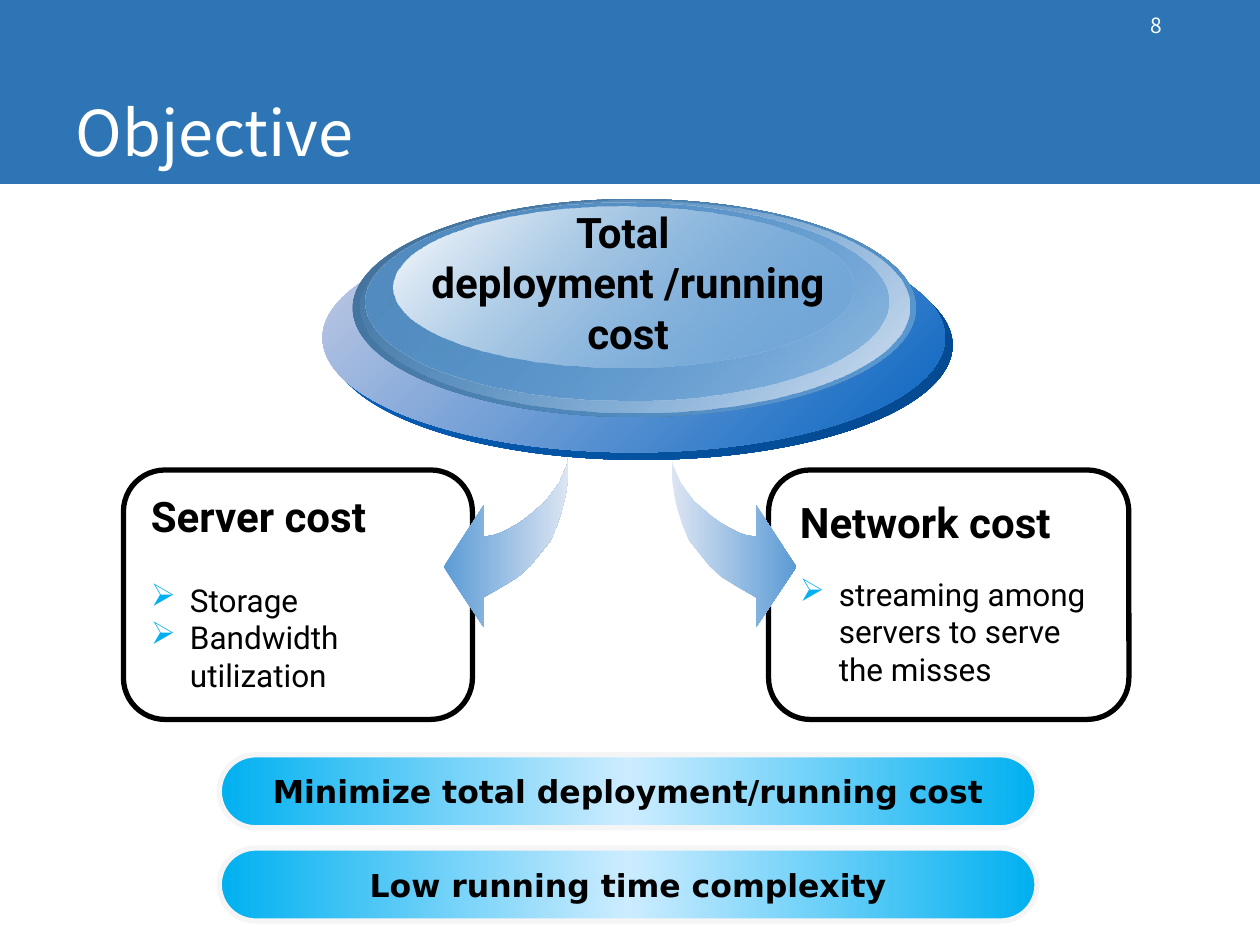
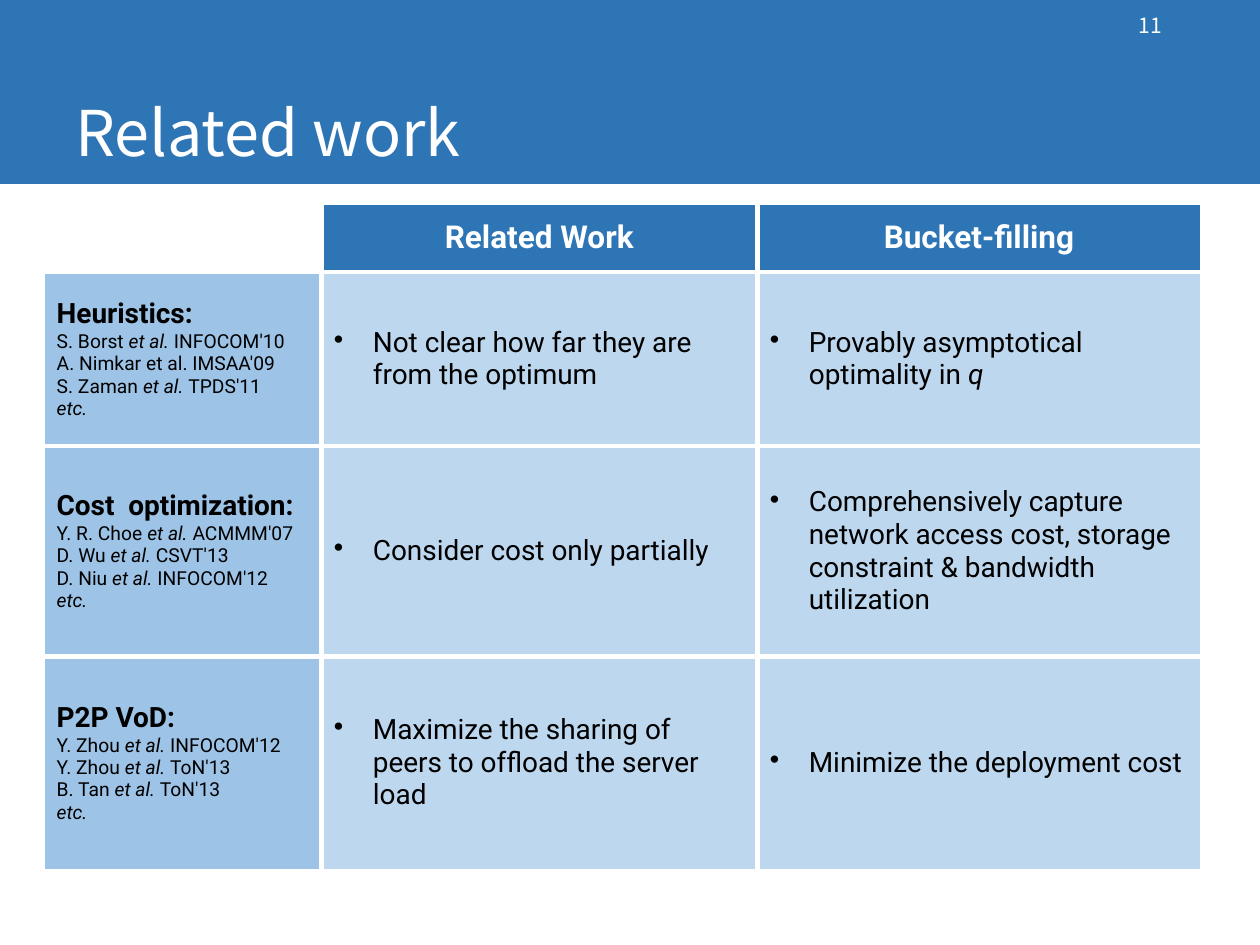
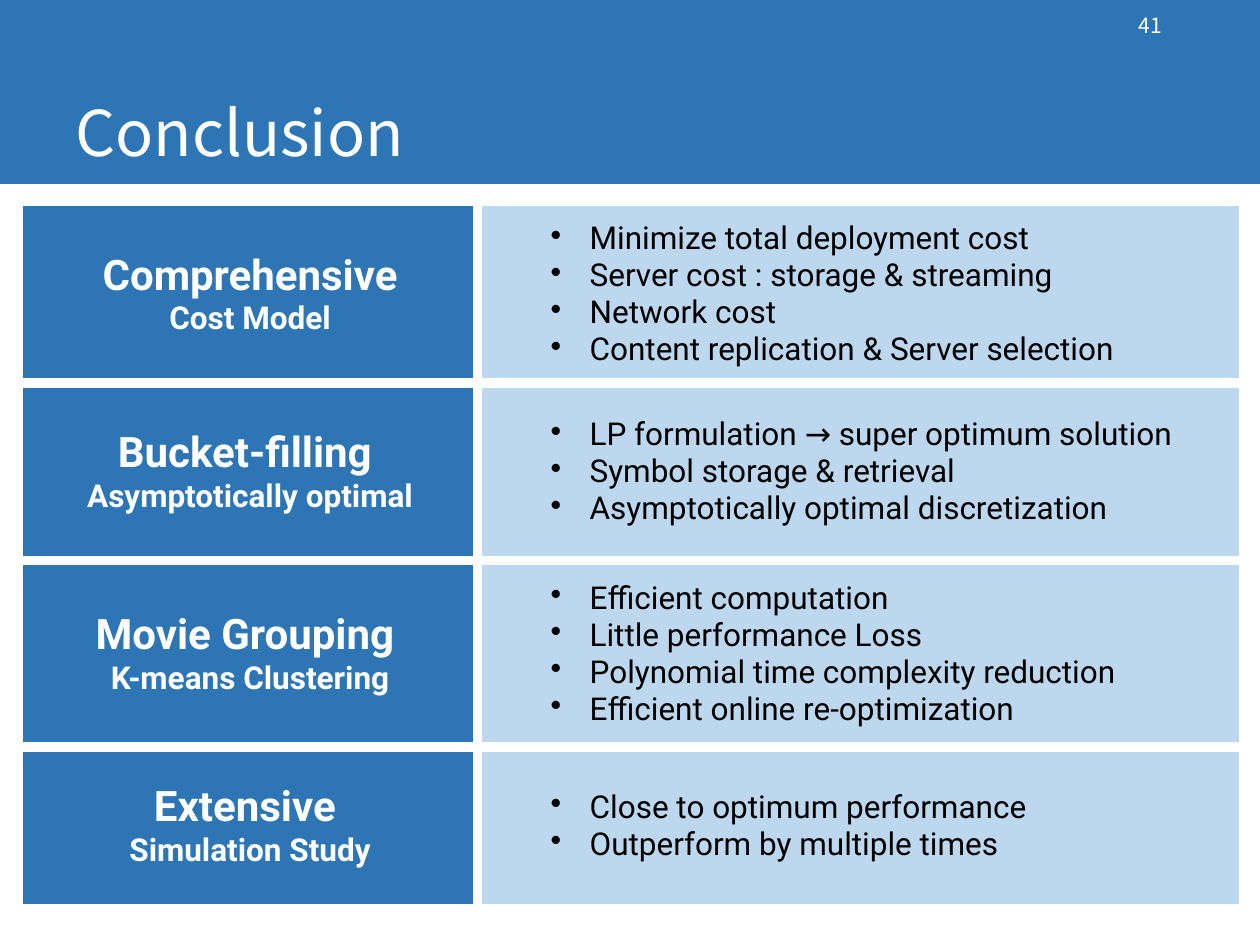
from pptx import Presentation
from pptx.dml.color import RGBColor
from pptx.enum.shapes import MSO_SHAPE as SHAPE
from pptx.enum.text import MSO_ANCHOR as ANCHOR, PP_ALIGN as ALIGN
from pptx.oxml import parse_xml
from pptx.oxml.ns import nsdecls, qn
from pptx.util import Inches, Pt

BLUE = RGBColor(0x2E, 0x75, 0xB6)
MID_BLUE = RGBColor(0x9D, 0xC3, 0xE6)
PALE_BLUE = RGBColor(0xBD, 0xD7, 0xEE)
PALE_GREY = RGBColor(0xF5, 0xF5, 0xF5)
WHITE = RGBColor(0xFF, 0xFF, 0xFF)
BLACK = RGBColor(0, 0, 0)
CYAN = RGBColor(0x00, 0xB0, 0xF0)
ICE = RGBColor(0xCC, 0xEC, 0xFF)
SKY = RGBColor(0x5B, 0x9B, 0xD5)
MIST = RGBColor(0xDC, 0xE5, 0xF3)
STRONG = RGBColor(0x05, 0x63, 0xC1)
TITLE_FONT, BODY_FONT, PILL_FONT = "Noto Sans CJK SC", "Roboto", "DejaVu Sans"


def add_par(tf, text, size, color=BLACK, bold=False, align=ALIGN.LEFT,
            font=BODY_FONT, bullet=None, bullet_color=BLACK, margin=0.31, before=0):
    """Append a paragraph; parts of the text between asterisks are italic."""
    p = tf.paragraphs[0]
    if p.runs:
        p = tf.add_paragraph()
    p.alignment = align
    if bullet:
        pPr = p._p.get_or_add_pPr()
        pPr.set("marL", str(Inches(margin)))
        pPr.set("indent", str(Inches(-0.31)))
        pPr.append(parse_xml(f'<a:buClr {nsdecls("a")}><a:srgbClr val="{bullet_color}"/></a:buClr>'))
        pPr.append(parse_xml(f'<a:buChar {nsdecls("a")} char="{bullet}"/>'))
    if before:
        p.space_before = Pt(before)
    for i, part in enumerate(text.split("*")):
        if part:
            r = p.add_run()
            r.text = part
            r.font.name, r.font.size, r.font.bold = font, Pt(size), bold
            r.font.italic = i % 2 == 1
            r.font.color.rgb = color


def fill_gradient(sp, angle, *stops):
    """Fill with evenly spaced (colour, opacity in percent) stops; drop line and shadow."""
    sp.shadow.inherit = False
    sp.line.fill.background()
    sp.fill.background()
    gs = "".join(
        f'<a:gs pos="{100000 * i // (len(stops) - 1)}"><a:srgbClr val="{color}">'
        f'<a:alpha val="{opacity * 1000}"/></a:srgbClr></a:gs>'
        for i, (color, opacity) in enumerate(stops))
    spPr = sp._element.spPr
    spPr.replace(spPr.find(qn("a:noFill")), parse_xml(
        f'<a:gradFill {nsdecls("a")} rotWithShape="1"><a:gsLst>{gs}</a:gsLst>'
        f'<a:lin ang="{angle * 60000}" scaled="0"/></a:gradFill>'))


prs = Presentation()
prs.slide_width, prs.slide_height = Inches(10), Inches(7.5)

# Shared band, title and page number
slides = []
for title, number in (("Objective", "8"), ("Related work", "11"), ("Conclusion", "41")):
    s = prs.slides.add_slide(prs.slide_layouts[6])
    slides.append(s)
    band = s.shapes.add_shape(SHAPE.RECTANGLE, 0, 0, prs.slide_width, Inches(1.46))
    band.shadow.inherit = False
    band.fill.solid()
    band.fill.fore_color.rgb = BLUE
    band.line.fill.background()
    tf = s.shapes.add_textbox(Inches(0.5), 0, Inches(8.81), Inches(1.34)).text_frame
    tf.word_wrap, tf.vertical_anchor, tf.margin_bottom = True, ANCHOR.BOTTOM, 0
    add_par(tf, title, 36, WHITE, font=TITLE_FONT)
    tf = s.shapes.add_textbox(Inches(6.63), 0, Inches(2.69), Inches(0.4)).text_frame
    tf.word_wrap, tf.vertical_anchor = True, ANCHOR.MIDDLE
    add_par(tf, number, 12, WHITE, align=ALIGN.RIGHT, font=TITLE_FONT)
objective, related, conclusion = slides

# Objective: cost cards
shapes = objective.shapes
cards = (
    (0.98, 2.77, 1.1, 3.84, 2.54, "Server cost", 23, ("Storage", "Bandwidth utilization")),
    (6.1, 2.86, 6.25, 3.89, 2.6, "Network cost", 16,
     ("streaming among servers to serve the misses",)),
)
for left, width, text_left, text_top, text_width, heading, gap, items in cards:
    sp = shapes.add_shape(SHAPE.ROUNDED_RECTANGLE, Inches(left), Inches(3.73),
                          Inches(width), Inches(1.98))
    sp.shadow.inherit = False
    sp.fill.background()
    sp.line.color.rgb, sp.line.width = BLACK, Pt(3)
    tf = shapes.add_textbox(Inches(text_left), Inches(text_top),
                            Inches(text_width), Inches(1.7)).text_frame
    tf.word_wrap = True
    add_par(tf, heading, 24, bold=True)
    for i, item in enumerate(items):
        add_par(tf, item, 18, bullet="➢", bullet_color=CYAN, before=0 if i else gap)

# Objective: curved arrows, the right one mirrored
arrow = [(4.51, 3.62), (4.51, 3.78), (4.49, 3.92), (4.46, 4.05), (4.42, 4.17), (4.37, 4.29),
         (4.29, 4.39), (4.21, 4.49), (4.11, 4.58), (3.98, 4.66), (3.84, 4.74), (3.84, 4.98),
         (3.52, 4.5), (3.84, 4.01), (3.84, 4.26), (3.91, 4.25), (3.97, 4.23), (4.05, 4.19),
         (4.12, 4.15), (4.19, 4.1), (4.26, 4.04), (4.33, 3.98), (4.39, 3.9), (4.44, 3.83),
         (4.47, 3.76), (4.5, 3.69)]
mirrored = [(9.84 - x, y) for x, y in arrow]
for outline, colors in ((arrow, (SKY, MIST)), (mirrored, (MIST, SKY))):
    points = [(Inches(x), Inches(y)) for x, y in outline]
    builder = shapes.build_freeform(*points[0])
    builder.add_line_segments(points[1:], close=True)
    fill_gradient(builder.convert_to_shape(), 0, *((c, 100) for c in colors))

# Objective: layered disc
discs = (
    (2.62, 1.83, 4.94, 1.82, (STRONG, 100), (RGBColor(0x04, 0x48, 0x8D), 100)),
    (2.56, 1.77, 4.94, 1.82, (RGBColor(0xC6, 0xCD, 0xE6), 100), (STRONG, 100)),
    (2.8, 1.58, 4.47, 1.73, (RGBColor(0x41, 0x6F, 0x98), 100), (SKY, 100)),
    (2.86, 1.59, 4.36, 1.68, (SKY, 0), (RGBColor(0xD8, 0xE3, 0xF1), 100)),
    (2.9, 1.61, 4.15, 1.57, (RGBColor(0x52, 0x8C, 0xC0), 100), (SKY, 48)),
    (3.12, 1.64, 3.65, 1.28, (WHITE, 100), (SKY, 38)),
)
for *box, start, end in discs:
    sp = shapes.add_shape(SHAPE.OVAL, *map(Inches, box))
    fill_gradient(sp, 45, start, end)
tf = shapes.add_textbox(Inches(3.22), Inches(1.59), Inches(3.53), Inches(1.31)).text_frame
tf.word_wrap = False
for line in ("Total ", "deployment /running", "cost"):
    add_par(tf, line, 24, bold=True, align=ALIGN.CENTER)

# Objective: goals
for i, goal in enumerate(("Minimize total deployment/running cost", "Low running time complexity")):
    sp = shapes.add_shape(SHAPE.ROUNDED_RECTANGLE, Inches(1.74), Inches(5.99 + 0.74 * i),
                          Inches(6.49), Inches(0.58))
    sp.adjustments[0] = 0.5
    fill_gradient(sp, 0, (CYAN, 100), (ICE, 100), (CYAN, 100))
    sp.line.color.rgb, sp.line.width = PALE_GREY, Pt(3)
    tf = sp.text_frame
    tf.word_wrap, tf.vertical_anchor = False, ANCHOR.MIDDLE
    add_par(tf, goal, 18, bold=True, align=ALIGN.CENTER, font=PILL_FONT)

# Empty tables with their grids, fills and borders
grids = (
    (related, 0.35, 1.62, (2.2, 3.46, 3.52), (0.54, 1.38, 1.67, 1.69), MID_BLUE, 3),
    (conclusion, 0.18, 1.63, (3.61, 6.05), (1.41, 1.41, 1.48, 1.25), BLUE, 6),
)
tables = []
for s, left, top, widths, heights, first_fill, inner in grids:
    n_rows, n_cols = len(heights), len(widths)
    table = s.shapes.add_table(n_rows, n_cols, Inches(left), Inches(top),
                               Inches(sum(widths)), Inches(sum(heights))).table
    table.first_row = table.horz_banding = False
    tables.append(table)
    for column, width in zip(table.columns, widths):
        column.width = Inches(width)
    for row, height in zip(table.rows, heights):
        row.height = Inches(height)
    for i in range(n_rows):
        for j in range(n_cols):
            cell = table.cell(i, j)
            cell.vertical_anchor = ANCHOR.MIDDLE
            cell.fill.solid()
            cell.fill.fore_color.rgb = PALE_BLUE if j else first_fill
            outer = {"L": j == 0, "R": j == n_cols - 1, "T": i == 0, "B": i == n_rows - 1}
            for k, (side, is_outer) in enumerate(outer.items()):
                cell._tc.get_or_add_tcPr().insert(k, parse_xml(
                    f'<a:ln{side} {nsdecls("a")} w="{Pt(1 if is_outer else inner)}">'
                    f'<a:solidFill><a:srgbClr val="{WHITE}"/></a:solidFill></a:ln{side}>'))
related_table, conclusion_table = tables

# Related work
related_table.cell(0, 0).fill.background()
for j, heading in enumerate(("Related Work", "Bucket-filling"), 1):
    cell = related_table.cell(0, j)
    cell.fill.fore_color.rgb = BLUE
    add_par(cell.text_frame, heading, 18, WHITE, True, ALIGN.CENTER)
approaches = (
    ("Heuristics:",
     ("S. Borst *et al. *INFOCOM'10", "A. Nimkar et al. IMSAA'09", "S. Zaman *et al. *TPDS'11"),
     "Not clear how far they are from the optimum",
     "Provably asymptotical optimality in *q*"),
    ("Cost  optimization:",
     ("Y. R. Choe *et al. *ACMMM'07", "D. Wu *et al. *CSVT'13", "D. Niu *et al. *INFOCOM'12"),
     "Consider cost only partially",
     "Comprehensively capture network access cost, storage constraint & bandwidth utilization"),
    ("P2P VoD:",
     ("Y. Zhou *et al. *INFOCOM'12", "Y. Zhou *et al. *ToN'13", "B. Tan *et al. *ToN'13"),
     "Maximize the sharing of peers to ofﬂoad the server load",
     "Minimize the deployment cost"),
)
for i, (name, papers, *points) in enumerate(approaches, 1):
    tf = related_table.cell(i, 0).text_frame
    add_par(tf, name, 16, bold=True)
    for paper in papers + ("*etc.*",):
        add_par(tf, paper, 11)
    for j, point in enumerate(points, 1):
        add_par(related_table.cell(i, j).text_frame, point, 16, bullet="•")

# Conclusion
findings = (
    ("Comprehensive", "Cost Model",
     ("Minimize total deployment cost", "Server cost : storage & streaming", "Network cost",
      "Content replication & Server selection")),
    ("Bucket-filling ", "Asymptotically optimal",
     ("LP formulation → super optimum solution", "Symbol storage & retrieval",
      "Asymptotically optimal discretization")),
    ("Movie Grouping ", "K-means Clustering",
     ("Efficient computation", "Little performance Loss",
      "Polynomial time complexity reduction", "Efficient online re-optimization")),
    ("Extensive ", "Simulation Study",
     ("Close to optimum performance", "Outperform by multiple times")),
)
for i, (heading, subheading, items) in enumerate(findings):
    tf = conclusion_table.cell(i, 0).text_frame
    add_par(tf, heading, 24, WHITE, True, ALIGN.CENTER)
    add_par(tf, subheading, 18, WHITE, True, ALIGN.CENTER)
    for item in items:
        add_par(conclusion_table.cell(i, 1).text_frame, item, 18, bullet="•", margin=0.79)

prs.save("out.pptx")
